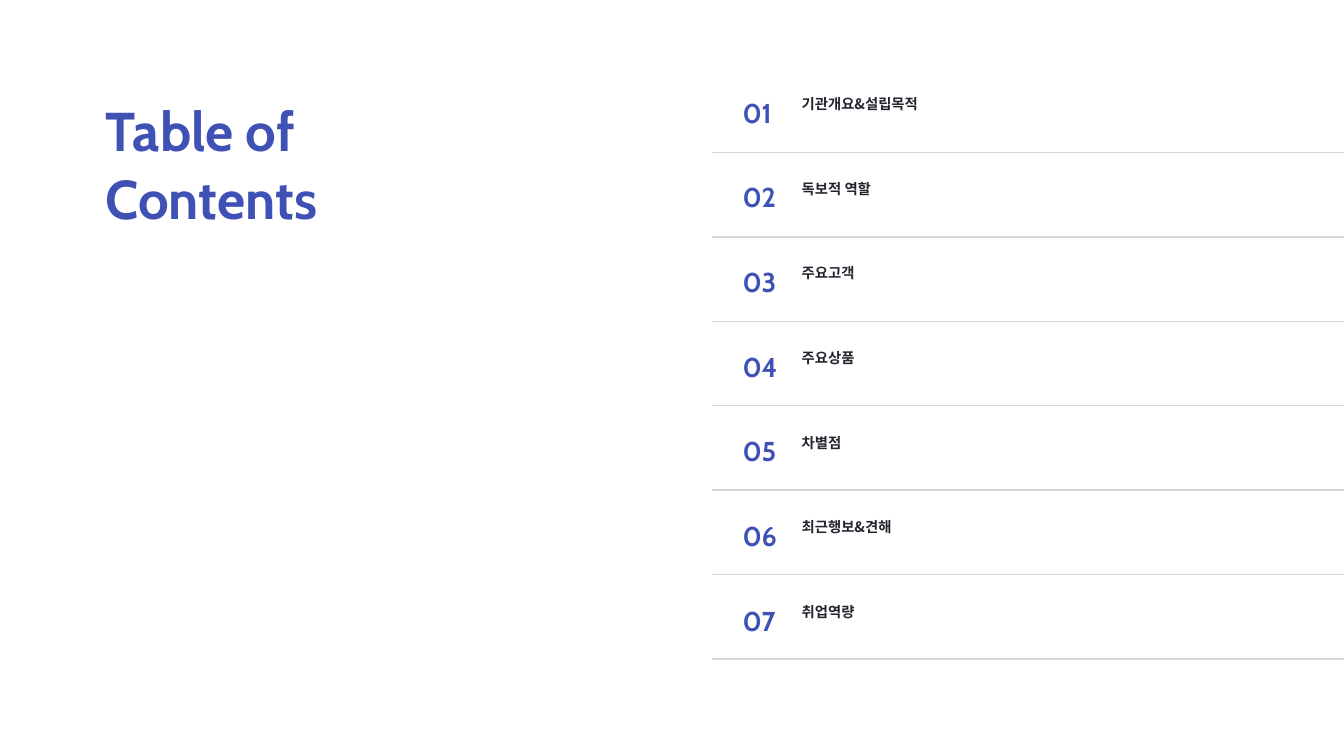
from lxml import etree
from pptx import Presentation
from pptx.dml.color import RGBColor
from pptx.enum.shapes import MSO_CONNECTOR as Connector
from pptx.enum.text import MSO_ANCHOR as Anchor, MSO_AUTO_SIZE as AutoSize, PP_ALIGN as Align
from pptx.oxml.ns import qn
from pptx.util import Pt

INDIGO = RGBColor(0x3F, 0x51, 0xB5)
INK = RGBColor(0x24, 0x24, 0x2F)
RULE_GRAY = RGBColor(0xD7, 0xD7, 0xD7)

PAGE_WIDTH, PAGE_HEIGHT = 1440, 810
RULE_LEFT, RULE_TOP, RULE_STEP = 763.2, 163.3, 90.48
NUMBER_LEFT, NUMBER_TOP = 795.6, 104.4
LABEL_LEFT, LABEL_TOP = 859, 103
ROW_STEP = 90.72

TITLE = {"name": "Cabin", "size": Pt(58.5), "bold": True}
NUMBER = {"name": "Cabin", "size": Pt(29.2), "bold": True}
LABEL = {"name": "Noto Sans CJK SC", "size": Pt(15.4), "bold": True}

# Label and width of its box
ENTRIES = [
    ("기관개요&설립목적", 127.4),
    ("독보적 역할", 146),
    ("주요고객", 146),
    ("주요상품", 119),
    ("차별점", 91.4),
    ("최근행보&견해", 146),
    ("취업역량", 119),
]


def write_text(box, place, lines, line_height, look, color):
    """Move a text shape to its place and fill it with formatted lines."""
    box.left, box.top, box.width, box.height = map(Pt, place)
    frame = box.text_frame
    settings = {
        "word_wrap": True, "auto_size": AutoSize.SHAPE_TO_FIT_TEXT,
        "vertical_anchor": Anchor.TOP, "margin_left": 0,
        "margin_top": 0, "margin_right": 0, "margin_bottom": 0,
    }
    for key, value in settings.items():
        setattr(frame, key, value)
    frame.text = "\n".join(lines)
    for para in frame.paragraphs:
        para.alignment = Align.LEFT
        para.line_spacing = Pt(line_height)
        para.space_before = Pt(0)
        for span in para.runs:
            for key, value in look.items():
                setattr(span.font, key, value)
            span.font.color.rgb = color
            east_asian = etree.SubElement(span._r.get_or_add_rPr(), qn("a:ea"))
            east_asian.set("typeface", look["name"])


deck = Presentation()
deck.slide_width, deck.slide_height = Pt(PAGE_WIDTH), Pt(PAGE_HEIGHT)
page = deck.slides.add_slide(deck.slide_layouts[5])

write_text(page.shapes.title, (113, 101.5, 229, 143.3),
           ["Table of", "Contents"], 72.5, TITLE, INDIGO)

for row, (label, width) in enumerate(ENTRIES):
    rule_y = Pt(RULE_TOP + row * RULE_STEP)
    rule = page.shapes.add_connector(
        Connector.STRAIGHT, Pt(RULE_LEFT), rule_y, Pt(PAGE_WIDTH), rule_y)
    rule.line.color.rgb = RULE_GRAY
    rule.line.width = Pt(1.5)
    etree.SubElement(rule._element.spPr, qn("a:effectLst"))

    offset = row * ROW_STEP
    number_place = (NUMBER_LEFT, NUMBER_TOP + offset, 39, 33.3)
    label_place = (LABEL_LEFT, LABEL_TOP + offset, width, 17.5)
    number_box = page.shapes.add_textbox(*map(Pt, number_place))
    write_text(number_box, number_place, [f"{row + 1:02d}"], 33.3, NUMBER, INDIGO)
    label_box = page.shapes.add_textbox(*map(Pt, label_place))
    write_text(label_box, label_place, [label], 17.5, LABEL, INK)

deck.save("out.pptx")
